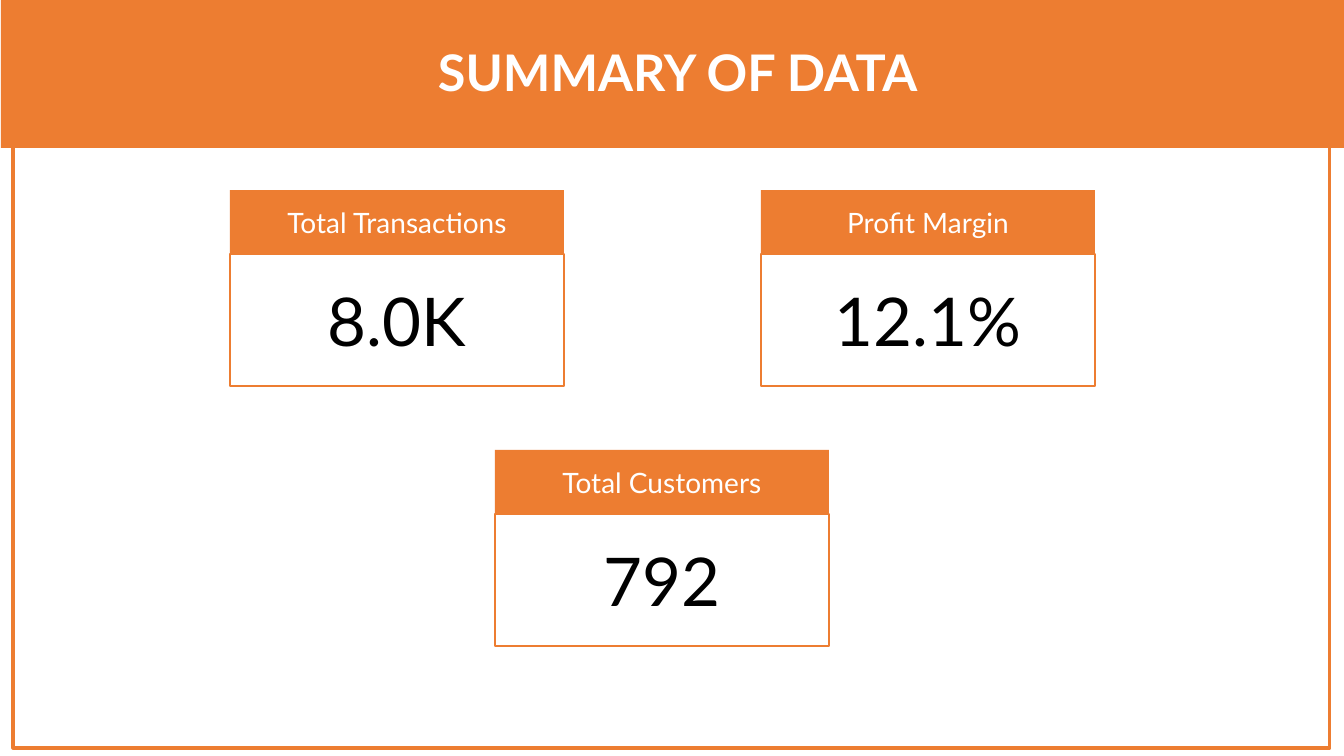
import pptx
import pptx.dml.color
import pptx.enum.shapes
import pptx.enum.text
import pptx.util

TITLE = "SUMMARY OF DATA"
# label, value, left px, top px
CARDS = [
    ("Total Transactions", "8.0K", 230, 190),
    ("Profit Margin", "12.1%", 761, 190),
    ("Total Customers", "792", 495, 450),
]
SLIDE_SIZE = (1344, 756)
FRAME_BOX = (13, 9, 1317, 739)
BANNER_BOX = (1, -4, 1344, 152)
TITLE_BOX = (428, 36, 518, 72)
CARD_WIDTH, LABEL_HEIGHT, VALUE_HEIGHT = 334, 64, 132

THEME = {
    "font": "Lato",
    "orange": "ED7D31",
    "white": "FFFFFF",
    "black": "000000",
    "title_size": 36,
    "label_size": 20,
    "value_size": 48,
    "frame_line": 2.25,
    "card_line": 1,
}
EMU_PER_PX = 914400 / 100.8


def emu(*lengths):
    return [pptx.util.Emu(round(length * EMU_PER_PX)) for length in lengths]


def color(name):
    return pptx.dml.color.RGBColor.from_string(THEME[name])


def add_box(slide, box, fill, line_width=None):
    """Add a rectangle, outlined in orange when line_width is given."""
    shape = slide.shapes.add_shape(pptx.enum.shapes.MSO_SHAPE.RECTANGLE, *emu(*box))
    shape.shadow.inherit = False
    shape.fill.solid()
    shape.fill.fore_color.rgb = color(fill)
    if line_width is None:
        shape.line.fill.background()
    else:
        shape.line.color.rgb = color("orange")
        shape.line.width = pptx.util.Pt(line_width)
    return shape


def write(shape, text, size, color_name, bold=False, centred=True):
    frame = shape.text_frame
    frame.text = text
    frame.word_wrap = True
    paragraph = frame.paragraphs[0]
    if centred:
        frame.vertical_anchor = pptx.enum.text.MSO_ANCHOR.MIDDLE
        paragraph.alignment = pptx.enum.text.PP_ALIGN.CENTER
    font = paragraph.runs[0].font
    font.name = THEME["font"]
    font.size = pptx.util.Pt(THEME[size])
    font.bold = bold
    font.color.rgb = color(color_name)


def add_card(slide, label, value, left, top):
    value_box = (left, top + LABEL_HEIGHT, CARD_WIDTH, VALUE_HEIGHT)
    label_box = (left, top, CARD_WIDTH, LABEL_HEIGHT)
    write(add_box(slide, value_box, "white", THEME["card_line"]), value, "value_size", "black")
    write(add_box(slide, label_box, "orange"), label, "label_size", "white")


def main():
    presentation = pptx.Presentation()
    presentation.slide_width, presentation.slide_height = emu(*SLIDE_SIZE)
    slide = presentation.slides.add_slide(presentation.slide_layouts[6])

    add_box(slide, FRAME_BOX, "white", THEME["frame_line"])
    add_box(slide, BANNER_BOX, "orange")
    for card in CARDS:
        add_card(slide, *card)

    title = slide.shapes.add_textbox(*emu(*TITLE_BOX))
    write(title, TITLE, "title_size", "white", bold=True, centred=False)
    title.text_frame.auto_size = pptx.enum.text.MSO_AUTO_SIZE.SHAPE_TO_FIT_TEXT

    presentation.save("out.pptx")


if __name__ == "__main__":
    main()
